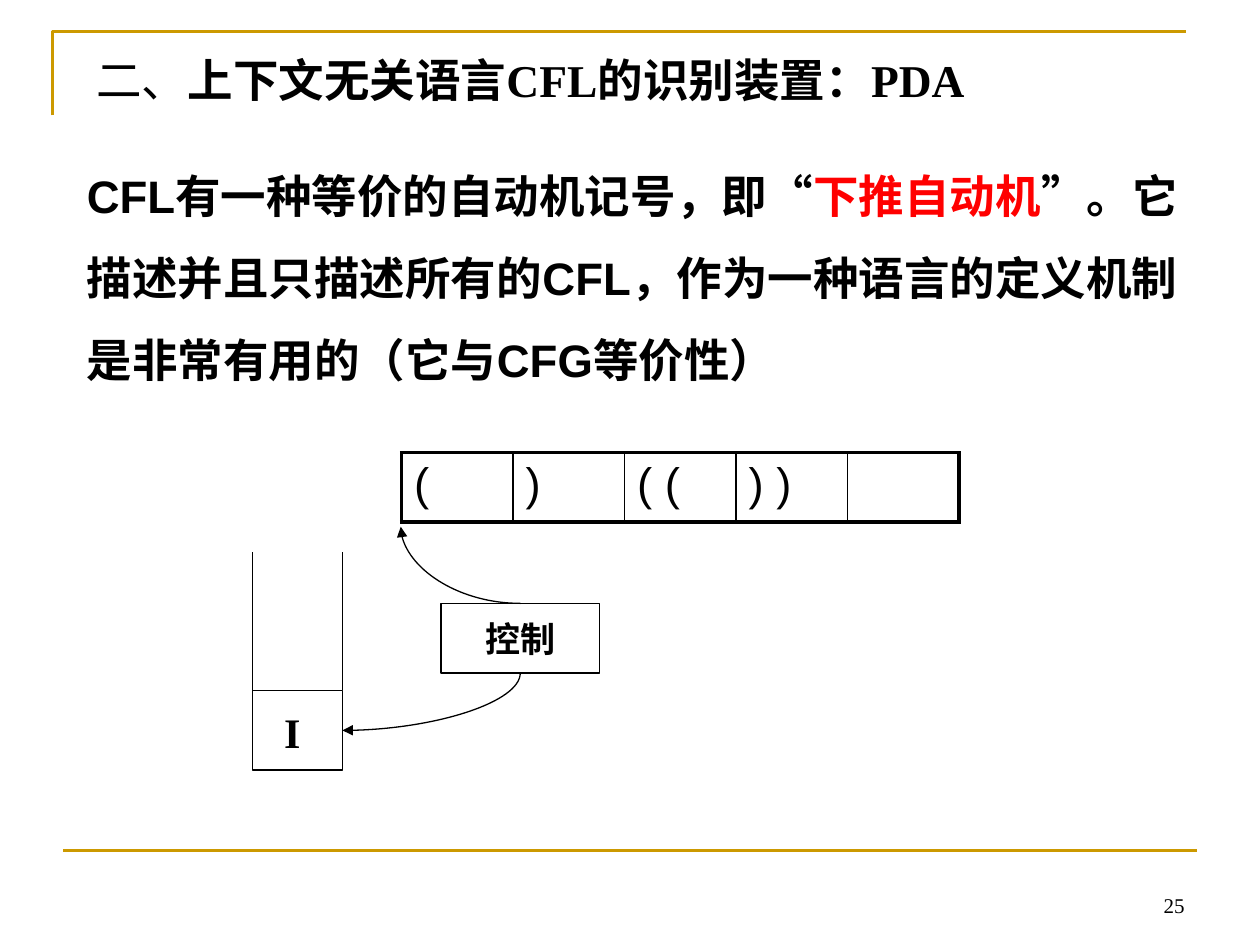
from lxml import etree
from pptx import Presentation
from pptx.dml.color import RGBColor
from pptx.enum import lang, shapes, text
from pptx.oxml import ns
from pptx.util import Pt

BLACK = RGBColor(0, 0, 0)
WHITE = RGBColor(255, 255, 255)
RED = RGBColor(255, 0, 0)
GOLD = RGBColor(0xCC, 0x99, 0)
SERIF, SANS = "Times New Roman", "Arial"
LEFT, MID, RIGHT = text.PP_ALIGN.LEFT, text.PP_ALIGN.CENTER, text.PP_ALIGN.RIGHT
KIND = shapes.MSO_CONNECTOR


def sub(node, tag, **attrs):
    return etree.SubElement(node, ns.qn("a:" + tag), **attrs)


def style(para, size, face=SERIF, bold=False, align=LEFT):
    font = para.font
    font.size, font.name, font.bold = Pt(size), face, bold
    font.color.rgb = BLACK
    para.alignment = align


def add_run(para, words, bold=None, color=None):
    run = para.add_run()
    run.text = words
    run.font.language_id = lang.MSO_LANGUAGE_ID.SIMPLIFIED_CHINESE
    if bold is not None:
        run.font.bold = bold
    if color is not None:
        run.font.color.rgb = color


def add_text(slide, x, y, w, h):
    frame = slide.shapes.add_textbox(Pt(x), Pt(y), Pt(w), Pt(h)).text_frame
    frame.word_wrap = True
    return frame


def add_box(slide, x, y, w, h):
    box = slide.shapes.add_shape(shapes.MSO_SHAPE.RECTANGLE, Pt(x), Pt(y), Pt(w), Pt(h))
    box.shadow.inherit = False
    box.fill.solid()
    box.fill.fore_color.rgb = WHITE
    box.line.color.rgb = BLACK
    box.line.width = Pt(0.75)
    return box


def add_line(slide, x1, y1, x2, y2, color=BLACK, width=0.75, kind=KIND.STRAIGHT):
    line = slide.shapes.add_connector(kind, Pt(x1), Pt(y1), Pt(x2), Pt(y2))
    line.line.color.rgb = color
    line.line.width = Pt(width)
    sub(line._element.spPr, "effectLst")
    return line


def add_curve(slide, x1, y1, x2, y2, end):
    """Quarter curve that leaves its first point level; end names the arrowhead."""
    curve = add_line(slide, x1, y1, x2, y2, kind=KIND.CURVE)
    curve._element.spPr.find(ns.qn("a:prstGeom")).set("prst", "curvedConnector2")
    sub(curve.line._get_or_add_ln(), end, type="triangle")


def add_frame(slide, x, y, w, h):
    # Corner rule at the top, straight rule at the foot
    build = slide.shapes.build_freeform(Pt(x), Pt(y + 48))
    build.add_line_segments([(Pt(x), Pt(y)), (Pt(x + w), Pt(y))], close=False)
    corner = build.convert_to_shape()
    corner.shadow.inherit = False
    corner.fill.background()
    corner.line.color.rgb = GOLD
    corner.line.width = Pt(1.5)
    add_line(slide, x + 6, y + h, x + 6 + w, y + h, GOLD, 1.5)

    # Page number
    frame = add_text(slide, x + 486, y + h + 6, 168, 36)
    frame.vertical_anchor = text.MSO_ANCHOR.BOTTOM
    para = frame.paragraphs[0]
    style(para, 12, align=RIGHT)
    add_run(para, "25")


def add_title(slide, x, y, w, h):
    para = add_text(slide, x, y, w, h).paragraphs[0]
    style(para, 26)
    add_run(para, "二、")
    add_run(para, "上下文无关语言CFL的识别装置：PDA", bold=True)


def add_body(slide, x, y, w, h):
    para = add_text(slide, x, y, w, h).paragraphs[0]
    style(para, 26, SANS, True)
    para.line_spacing = 1.5
    add_run(para, "CFL有一种等价的自动机记号，即“")
    add_run(para, "下推自动机", color=RED)
    add_run(para, "”。它描述并且只描述所有的CFL，作为一种语言的定义机制是非常有用的（它与CFG等价性）")


def add_tape(slide, x, y, w, h):
    marks = ["(", ")", "( (", ") )", ""]
    table = slide.shapes.add_table(1, len(marks), Pt(x), Pt(y), Pt(w), Pt(h)).table
    table.first_row = table.horz_banding = False
    last = len(marks) - 1
    for i, mark in enumerate(marks):
        table.columns[i].width = Pt(w / len(marks))
        cell = table.cell(0, i)
        para = cell.text_frame.paragraphs[0]
        style(para, 26, SANS)
        if mark:
            add_run(para, mark)
        # Thick outer edge, thin dividers
        edges = {"lnL": 1 if i else 2.25, "lnR": 1 if i < last else 2.25,
                 "lnT": 2.25, "lnB": 2.25}
        for tag, width in edges.items():
            edge = sub(cell._tc.get_or_add_tcPr(), tag, w=str(Pt(width)))
            sub(sub(edge, "solidFill"), "srgbClr", val=str(BLACK))
        cell.fill.background()


def add_control(slide, x, y, w, h):
    frame = add_box(slide, x, y, w, h).text_frame
    frame.word_wrap = False
    frame.vertical_anchor = text.MSO_ANCHOR.MIDDLE
    para = frame.paragraphs[0]
    style(para, 20, bold=True, align=MID)
    add_run(para, "控制")


def add_stack(slide, x, y, w, h):
    # Bottom cell with two open walls above it
    cell = 45.5
    base = y + h - cell
    add_box(slide, x, base, w, cell)
    for side in (x, x + w):
        add_line(slide, side, base, side, y)
    para = add_text(slide, x + 10.8, base + 5.8, 23, 36).paragraphs[0]
    style(para, 24, bold=True, align=MID)
    add_run(para, "I")


def main():
    deck = Presentation()
    deck.slide_width, deck.slide_height = Pt(720), Pt(540)
    slide = deck.slides.add_slide(deck.slide_layouts[6])
    add_frame(slide, 30, 18, 648, 468)
    add_title(slide, 48, 26, 672, 38)
    add_body(slide, 42.5, 77, 641.5, 161)
    add_tape(slide, 229.5, 258.7, 318.5, 39.5)
    add_control(slide, 252, 344.8, 90.7, 39.8)
    add_stack(slide, 144.5, 315.4, 51.2, 124.6)

    # Control points to the stack and to the tape
    add_curve(slide, 195.7, 417.4, 297.35, 384.6, "headEnd")
    add_curve(slide, 297.35, 344.8, 229, 301, "tailEnd")
    deck.save("out.pptx")


if __name__ == "__main__":
    main()
